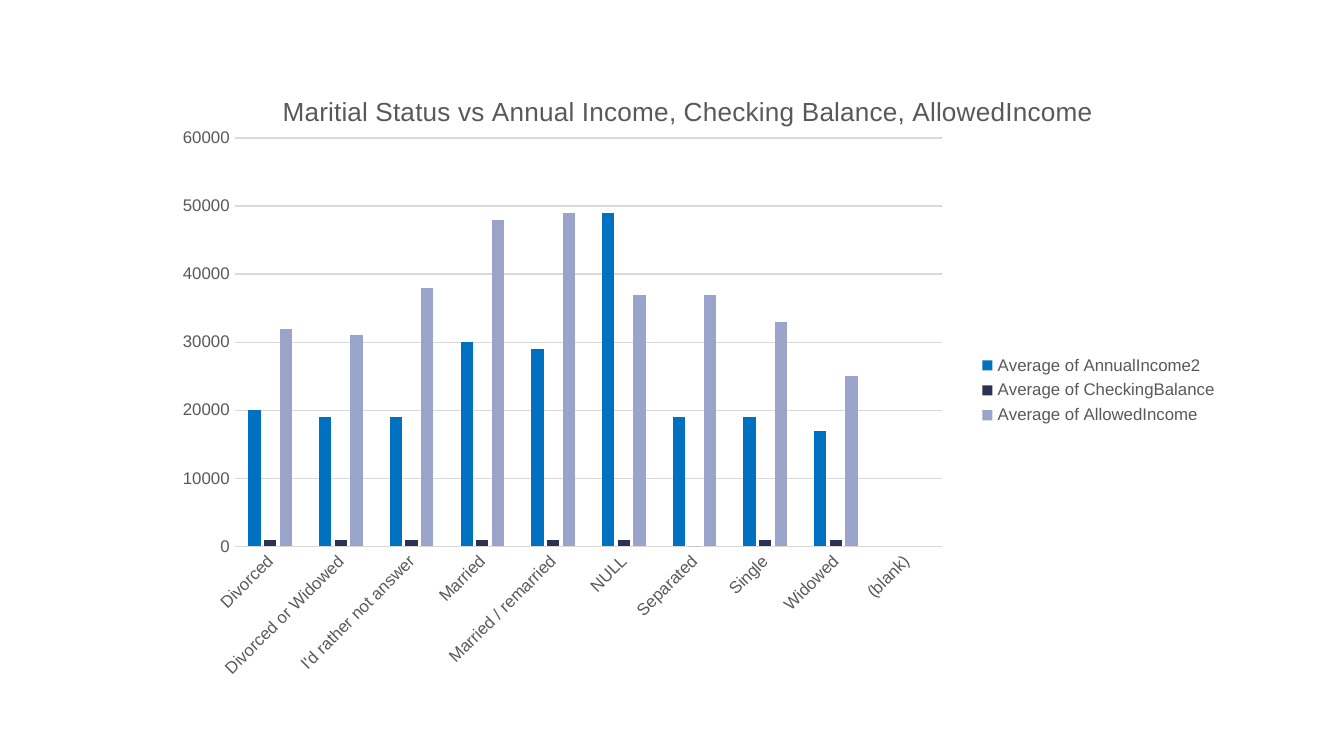
from lxml import etree
from pptx import Presentation
from pptx.chart.data import CategoryChartData
from pptx.dml.color import RGBColor
from pptx.enum.chart import XL_CHART_TYPE, XL_LEGEND_POSITION, XL_TICK_MARK
from pptx.oxml.ns import qn
from pptx.util import Inches, Pt

FONT = "Arial"
BLACK = RGBColor(0x00, 0x00, 0x00)
GRAY = RGBColor(0x59, 0x59, 0x59)
LIGHT_GRAY = RGBColor(0xD9, 0xD9, 0xD9)
BLUE = RGBColor(0x00, 0x70, 0xC0)
NAVY = RGBColor(0x2B, 0x32, 0x52)
LAVENDER = RGBColor(0x9A, 0xA3, 0xCA)

TITLE = "Maritial Status vs Annual Income, Checking Balance, AllowedIncome"
STATUSES = ["Divorced", "Divorced or Widowed", "I'd rather not answer", "Married",
            "Married / remarried", "NULL", "Separated", "Single", "Widowed", "(blank)"]
SERIES = [
    ("Average of AnnualIncome2", BLUE,
     [20000, 19000, 19000, 30000, 29000, 49000, 19000, 19000, 17000, None]),
    ("Average of CheckingBalance", NAVY,
     [1000, 1000, 1000, 1000, 1000, 1000, 0, 1000, 1000, None]),
    ("Average of AllowedIncome", LAVENDER,
     [32000, 31000, 38000, 48000, 49000, 37000, 37000, 33000, 25000, None]),
]


def style_font(font, size, color):
    font.name = FONT
    font.size = Pt(size)
    font.bold = False
    font.color.rgb = color


def style_line(line):
    line.color.rgb = LIGHT_GRAY
    line.width = Pt(0.75)


def set_layout(parent, index, **settings):
    """Give a chart part a manual layout, as fractions of the chart."""
    for old in parent.findall(qn("c:layout")):
        parent.remove(old)
    layout = etree.Element(qn("c:layout"))
    manual = etree.SubElement(layout, qn("c:manualLayout"))
    for name, value in settings.items():
        etree.SubElement(manual, qn(f"c:{name}")).set("val", str(value))
    parent.insert(index, layout)


deck = Presentation()
deck.slide_width = Inches(10)
deck.slide_height = deck.slide_width * 9 // 16
page = deck.slides.add_slide(deck.slide_layouts[6])

data = CategoryChartData()
data.categories = STATUSES
for name, _, values in SERIES:
    data.add_series(name, values)
chart = page.shapes.add_chart(XL_CHART_TYPE.COLUMN_CLUSTERED, Inches(1.19), Inches(0.67),
                              Inches(7.97), Inches(4.47), data).chart
style_font(chart.font, 10, BLACK)

chart.has_title = True
span = chart.chart_title.text_frame.paragraphs[0].add_run()
span.text = TITLE
style_font(span.font, 14, GRAY)
chart_part = chart.element.find(qn("c:chart"))
set_layout(chart_part.find(qn("c:title")), 1, xMode="edge", yMode="edge", x=0.11, y=0)
set_layout(chart_part.find(qn("c:plotArea")), 0, layoutTarget="inner", xMode="edge",
           yMode="edge", x=0.07, y=0.08, w=0.66, h=0.68)

plot = chart.plots[0]
plot.gap_width = 219
plot.overlap = -27
plot.vary_by_categories = False
for series, (_, color, _) in zip(plot.series, SERIES):
    series.format.fill.solid()
    series.format.fill.fore_color.rgb = color

for axis in (chart.category_axis, chart.value_axis):
    axis.major_tick_mark = axis.minor_tick_mark = XL_TICK_MARK.NONE
    style_font(axis.tick_labels.font, 9, GRAY)
style_line(chart.category_axis.format.line)
label_text = chart.category_axis.tick_labels.font
label_body = chart_part.find(".//" + qn("c:catAx")).find(qn("c:txPr")).find(qn("a:bodyPr"))
label_body.set("rot", "-2700000")

chart.value_axis.minimum_scale = 0
chart.value_axis.maximum_scale = 60000
chart.value_axis.major_unit = 10000
chart.value_axis.format.line.fill.background()
chart.value_axis.has_major_gridlines = True
style_line(chart.value_axis.major_gridlines.format.line)

chart.has_legend = True
chart.legend.position = XL_LEGEND_POSITION.RIGHT
chart.legend.include_in_layout = False
style_font(chart.legend.font, 9, GRAY)

deck.save("out.pptx")
